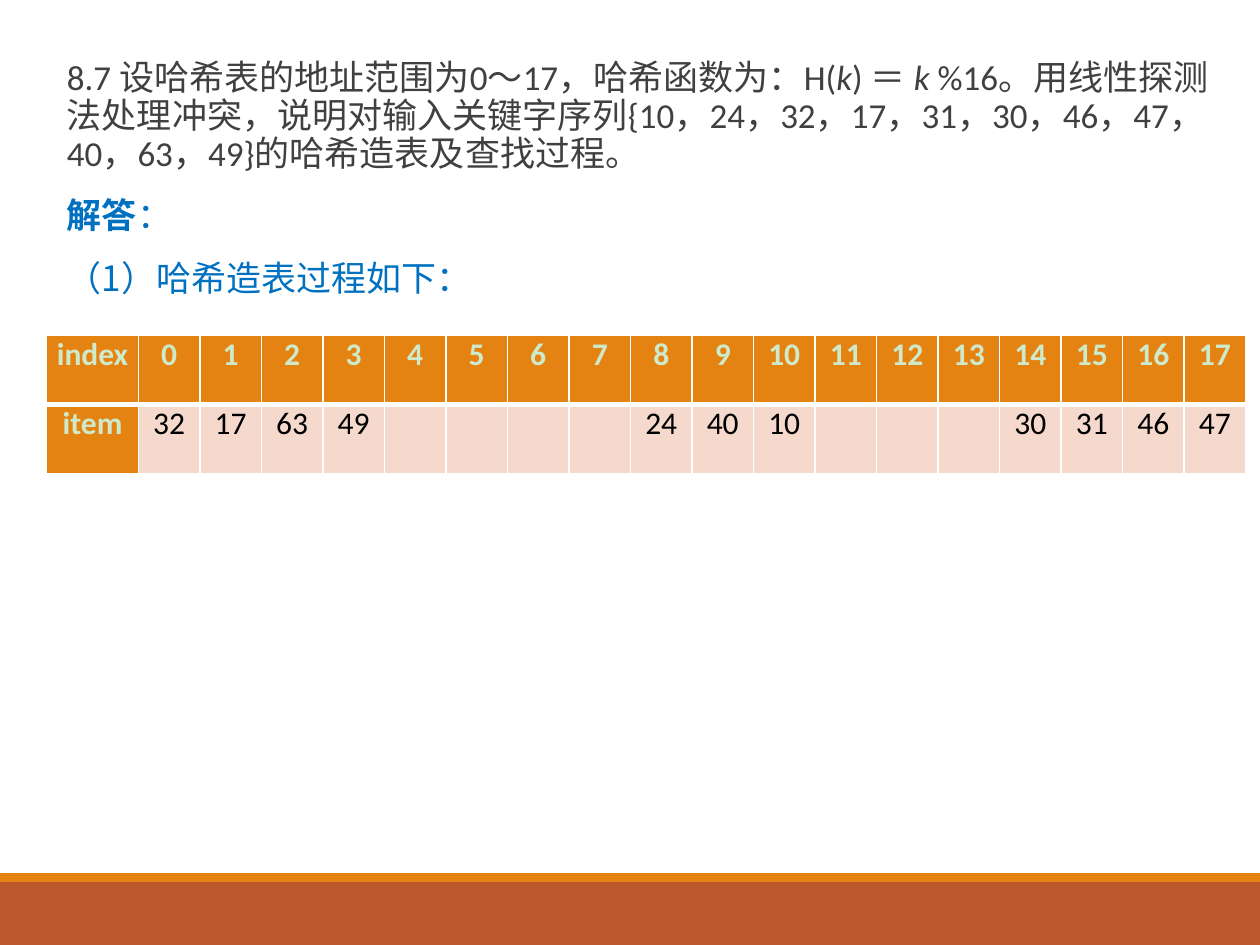
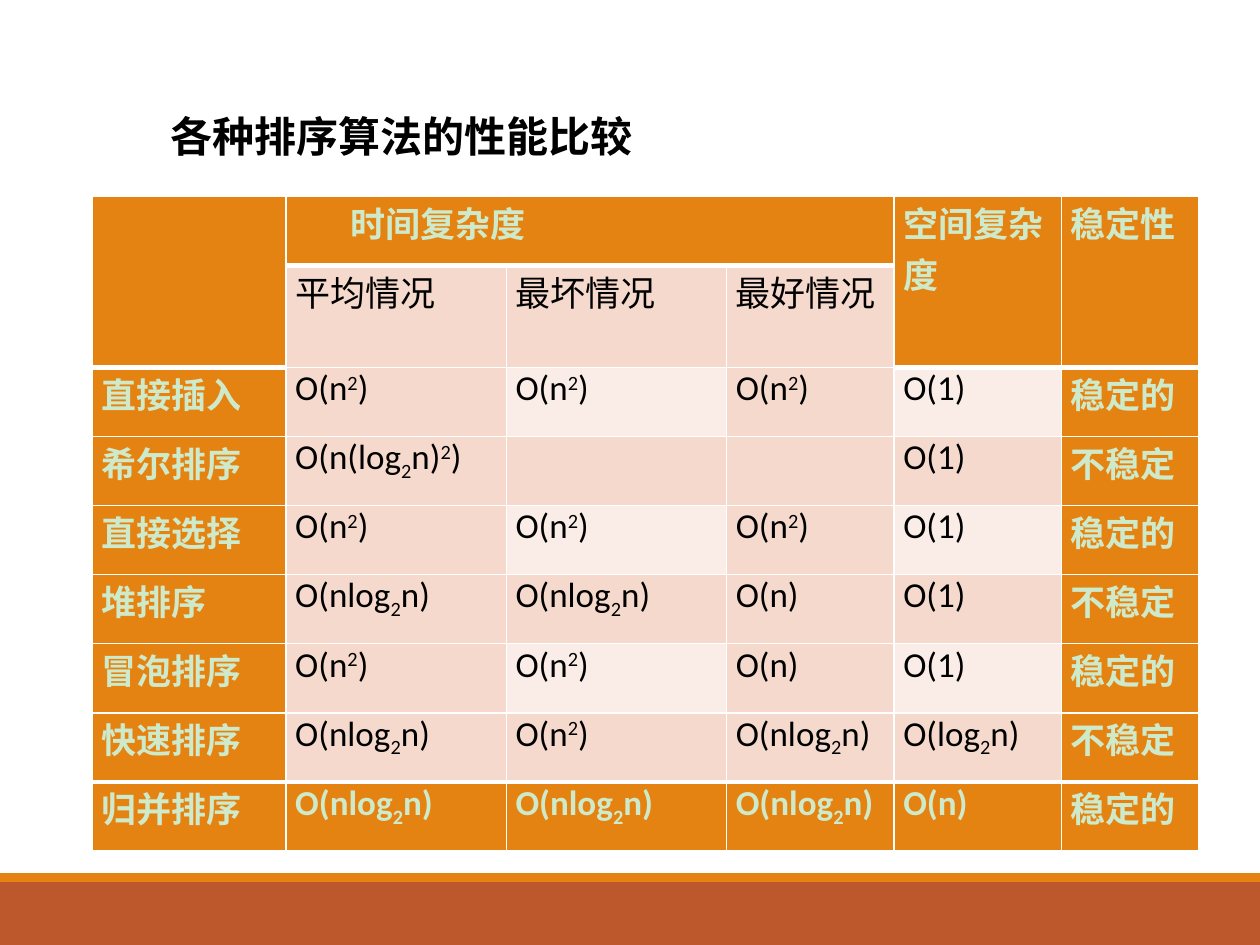
from dataclasses import dataclass

from lxml import etree
from pptx import Presentation
from pptx.dml.color import RGBColor
from pptx.enum.shapes import MSO_SHAPE
from pptx.enum.text import MSO_ANCHOR, MSO_AUTO_SIZE, PP_ALIGN
from pptx.oxml.ns import qn
from pptx.util import Pt

RECTANGLE = MSO_SHAPE.RECTANGLE
TOP, MIDDLE = MSO_ANCHOR.TOP, MSO_ANCHOR.MIDDLE
LEFT, CENTER = PP_ALIGN.LEFT, PP_ALIGN.CENTER
NO_AUTOFIT = MSO_AUTO_SIZE.NONE


@dataclass(frozen=True)
class Theme:
    paper: str = "FFFFFF"
    orange: str = "E48312"
    rust: str = "BD582C"
    band: str = "F5D9CC"
    pale_band: str = "FAEDE7"
    header_text: str = "CEEACA"
    cell_text: str = "000000"
    question: str = "404040"
    answer: str = "0070C0"
    latin: str = "Calibri"
    chinese: str = "Noto Sans CJK SC"
    title_font: str = "Times New Roman"
    title_size: int = 24
    text_size: int = 20
    index_size: int = 18
    thin: int = 1
    heavy: int = 3


THEME = Theme()
WIDTH, HEIGHT = 720, 540
ROW_HEIGHT = 39.5
CELL_MARGIN = 5.2
BASELINES = {"^": "30000", "_": "-25000"}

QUESTION = [
    ("8.7 设哈希表的地址范围为0～17，哈希函数为：H(", False),
    ("k", True),
    (") ＝ ", False),
    ("k", True),
    (" %16。用线性探测法处理冲突，说明对输入关键字序列"
     "{10，24，32，17，31，30，46，47，40，63，49}的哈希造表及查找过程。", False),
]
SLOTS = {0: 32, 1: 17, 2: 63, 3: 49, 8: 24, 9: 40, 10: 10,
         14: 30, 15: 31, 16: 46, 17: 47}
SLOT_COUNT = 18

SORT_ROWS = [
    ["", "时间复杂度", "", "", "空间复杂度", "稳定性"],
    ["", "平均情况", "最坏情况", "最好情况", "", ""],
    ["直接插入", "O(n^2)", "O(n^2)", "O(n^2)", "O(1)", "稳定的"],
    ["希尔排序", "O(n(log_2n)^2)", "", "", "O(1)", "不稳定"],
    ["直接选择", "O(n^2)", "O(n^2)", "O(n^2)", "O(1)", "稳定的"],
    ["堆排序", "O(nlog_2n)", "O(nlog_2n)", "O(n)", "O(1)", "不稳定"],
    ["冒泡排序", "O(n^2)", "O(n^2)", "O(n)", "O(1)", "稳定的"],
    ["快速排序", "O(nlog_2n)", "O(n^2)", "O(nlog_2n)", "O(log_2n)", "不稳定"],
    ["归并排序", "O(nlog_2n)", "O(nlog_2n)", "O(nlog_2n)", "O(n)", "稳定的"],
]
SORT_SPANS = [((0, 0), (1, 0)), ((0, 1), (0, 3)), ((0, 4), (1, 4)), ((0, 5), (1, 5))]


def place(shape, left, top, width, height):
    shape.left, shape.top = Pt(left), Pt(top)
    shape.width, shape.height = Pt(width), Pt(height)


def add_run(paragraph, text, color, size=THEME.text_size, font=THEME.latin,
            bold=False, italic=False, east_asian=THEME.chinese, baseline=None):
    run = paragraph.add_run()
    run.text = text
    run.font.name, run.font.size = font, Pt(size)
    run.font.bold, run.font.italic = bold, italic
    run.font.color.rgb = RGBColor.from_string(color)
    properties = run._r.get_or_add_rPr()
    etree.SubElement(properties, qn("a:ea")).set("typeface", east_asian)
    if baseline:
        properties.set("baseline", baseline)


def add_formula(paragraph, formula, color, size, bold):
    plain, position = "", 0
    while position < len(formula):
        mark = formula[position]
        if mark in BASELINES:
            add_run(paragraph, plain, color, size, bold=bold)
            position += 1
            add_run(paragraph, formula[position], color, size, bold=bold,
                    baseline=BASELINES[mark])
            plain = ""
        else:
            plain += mark
        position += 1
    if plain:
        add_run(paragraph, plain, color, size, bold=bold)


def set_indent(paragraph, margin, first_line):
    properties = paragraph._p.get_or_add_pPr()
    properties.set("marL", str(Pt(margin)))
    properties.set("indent", str(Pt(first_line)))
    etree.SubElement(properties, qn("a:buNone"))


def add_band(slide, top, height, color):
    band = slide.shapes.add_shape(RECTANGLE, Pt(0), Pt(top), Pt(WIDTH), Pt(height))
    band.shadow.inherit = False
    band.fill.solid()
    band.fill.fore_color.rgb = RGBColor.from_string(color)
    band.line.fill.background()


def add_slide(presentation, layout_index):
    slide = presentation.slides.add_slide(presentation.slide_layouts[layout_index])
    slide.background.fill.solid()
    slide.background.fill.fore_color.rgb = RGBColor.from_string(THEME.paper)
    add_band(slide, 504, 36, THEME.rust)
    add_band(slide, 499, 5, THEME.orange)
    return slide


def set_borders(cell, top, bottom):
    properties = cell._tc.get_or_add_tcPr()
    widths = {"a:lnL": THEME.thin, "a:lnR": THEME.thin, "a:lnT": top, "a:lnB": bottom}
    for tag, width in widths.items():
        line = etree.SubElement(properties, qn(tag), w=str(Pt(width)))
        fill = etree.SubElement(line, qn("a:solidFill"))
        etree.SubElement(fill, qn("a:srgbClr"), val=THEME.paper)


def add_grid(slide, left, top, column_widths, row_heights, rows, fill_of,
             heavy_edges, size, alignment):
    frame = slide.shapes.add_table(len(rows), len(column_widths), Pt(left), Pt(top),
                                   Pt(sum(column_widths)), Pt(sum(row_heights)))
    table = frame.table
    table.first_row = table.horz_banding = False
    for column, width in zip(table.columns, column_widths):
        column.width = Pt(width)
    for row, height in zip(table.rows, row_heights):
        row.height = Pt(height)
    for r, texts in enumerate(rows):
        for c, text in enumerate(texts):
            cell = table.cell(r, c)
            cell.margin_left = cell.margin_right = Pt(CELL_MARGIN)
            cell.margin_top = cell.margin_bottom = Pt(0)
            set_borders(cell,
                        THEME.heavy if (r - 1, c) in heavy_edges else THEME.thin,
                        THEME.heavy if (r, c) in heavy_edges else THEME.thin)
            fill = fill_of(r, c)
            cell.fill.solid()
            cell.fill.fore_color.rgb = RGBColor.from_string(fill)
            is_header = fill == THEME.orange
            paragraph = cell.text_frame.paragraphs[0]
            paragraph.alignment = alignment
            add_formula(paragraph, text,
                        THEME.header_text if is_header else THEME.cell_text,
                        size, is_header)
    return table


def index_fill(row, column):
    return THEME.orange if row == 0 or column == 0 else THEME.band


def sort_fill(row, column):
    if row in (0, 8) or column in (0, 5) or (row, column) == (1, 4):
        return THEME.orange
    return THEME.pale_band if row % 2 == 0 and column % 2 == 0 else THEME.band


def fill_question(body):
    place(body, 31, 31, 665, 160.5)
    frame = body.text_frame
    frame.word_wrap, frame.auto_size = True, NO_AUTOFIT
    frame.vertical_anchor = TOP
    frame.margin_left = frame.margin_right = Pt(0)
    frame.margin_top = frame.margin_bottom = Pt(3.6)
    answer = [[("解答", True), ("：", False)], [("（1）哈希造表过程如下：", False)]]
    paragraphs = [frame.paragraphs[0]] + [frame.add_paragraph() for _ in answer]
    for number, paragraph in enumerate(paragraphs):
        paragraph.line_spacing = 0.9
        paragraph.space_before = Pt(12 if number else 0)
        paragraph.space_after = Pt(2)
        set_indent(paragraph, 7.2, 0)
    for text, italic in QUESTION:
        add_run(paragraphs[0], text, THEME.question, italic=italic,
                east_asian=THEME.latin)
    for paragraph, runs in zip(paragraphs[1:], answer):
        for text, bold in runs:
            add_run(paragraph, text, THEME.answer, font=THEME.chinese, bold=bold,
                    east_asian=THEME.latin)


def build_hash_slide(presentation):
    slide = add_slide(presentation, 1)
    title = slide.shapes.title
    title._element.getparent().remove(title._element)
    fill_question(slide.placeholders[1])
    slots = range(SLOT_COUNT)
    rows = [["index"] + [str(slot) for slot in slots],
            ["item"] + [str(SLOTS.get(slot, "")) for slot in slots]]
    add_grid(slide, 26.7, 191.7, [52.4] + [35.16] * SLOT_COUNT, [ROW_HEIGHT] * 2,
             rows, index_fill, {(0, c) for c in range(SLOT_COUNT + 1)},
             THEME.index_size, CENTER)


def build_sort_slide(presentation):
    slide = add_slide(presentation, 5)
    title = slide.shapes.title
    place(title, 63.4, 59.8, 401.8, 36)
    frame = title.text_frame
    frame.word_wrap, frame.auto_size = True, NO_AUTOFIT
    frame.vertical_anchor = MIDDLE
    paragraph = frame.paragraphs[0]
    paragraph.alignment = LEFT
    set_indent(paragraph, 0, 26.6)
    add_run(paragraph, "各种排序算法的性能比较", THEME.cell_text, THEME.title_size,
            THEME.title_font, bold=True)

    heavy_edges = ({(0, c) for c in (1, 2, 3)} | {(r, c) for r in (1,) for c in (0, 4, 5)}
                   | {(7, c) for c in range(6)})
    row_heights = [ROW_HEIGHT, 57] + [ROW_HEIGHT] * 7
    table = add_grid(slide, 52.8, 112.3, [110.7, 125.9, 125.9, 95.7, 95.7, 78.3],
                     row_heights, SORT_ROWS, sort_fill, heavy_edges,
                     THEME.text_size, LEFT)
    for first, last in SORT_SPANS:
        table.cell(*first).merge(table.cell(*last))
    for column in (0, 4, 5):
        set_merged_bottom(table.cell(0, column))
    table.cell(0, 1).margin_left = Pt(36.8)


def set_merged_bottom(cell):
    bottom = cell._tc.tcPr.find(qn("a:lnB"))
    bottom.set("w", str(Pt(THEME.heavy)))


def main():
    presentation = Presentation()
    presentation.slide_width, presentation.slide_height = Pt(WIDTH), Pt(HEIGHT)
    build_hash_slide(presentation)
    build_sort_slide(presentation)
    presentation.save("out.pptx")


if __name__ == "__main__":
    main()
